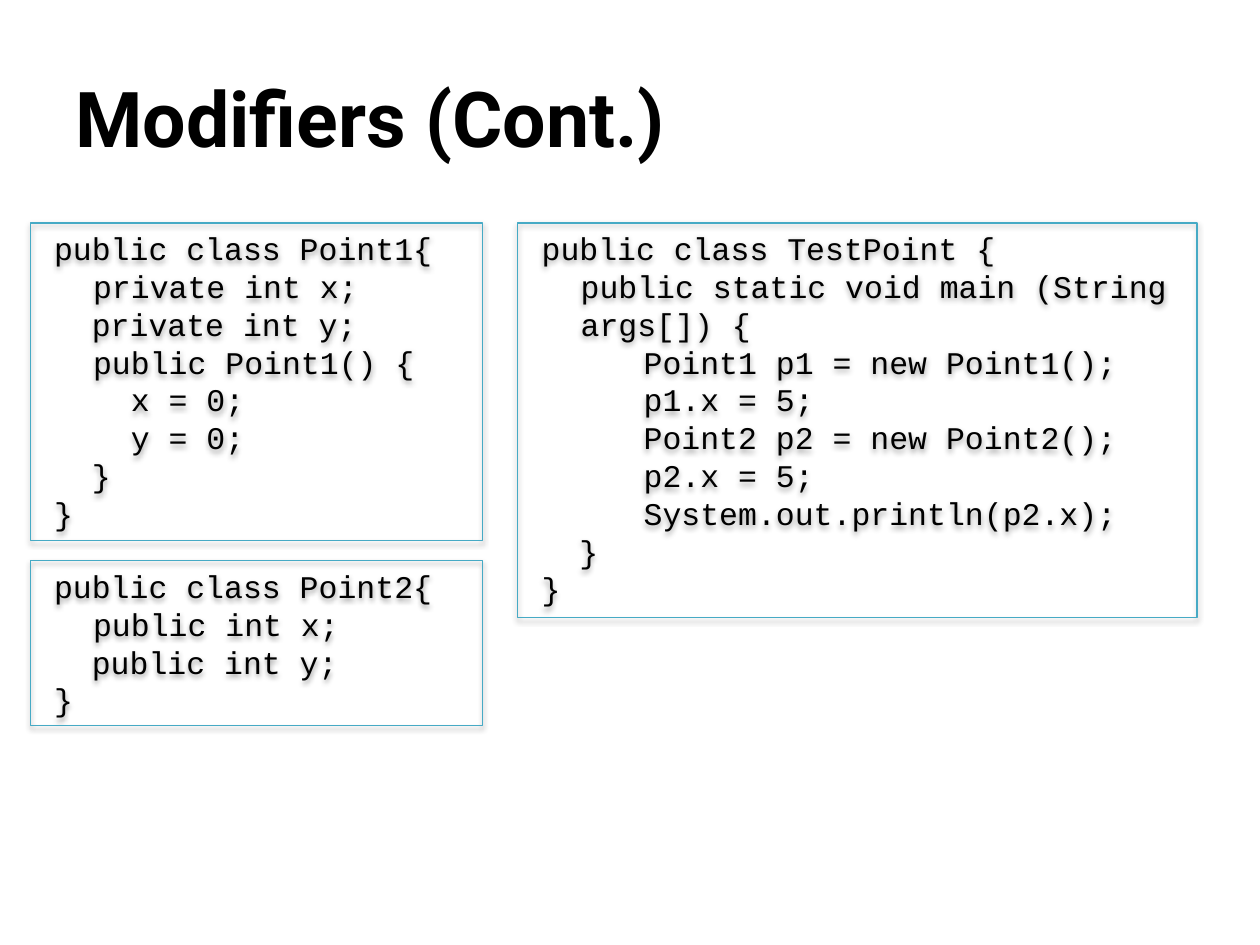
"""Build the slide on access modifiers with three boxes of Java code."""
import pptx
import pptx.dml.color
import pptx.enum.shapes
import pptx.enum.text
import pptx.oxml
import pptx.util
from pptx.util import Inches

BLACK = pptx.dml.color.RGBColor(0x00, 0x00, 0x00)
TEAL = pptx.dml.color.RGBColor(0x46, 0xAA, 0xC5)

SHADOW_XML = (
    '<a:outerShdw xmlns:a="http://schemas.openxmlformats.org/drawingml/2006/main" '
    'blurRad="40000" dist="20000" dir="5400000" rotWithShape="0">'
    '<a:srgbClr val="000000"><a:alpha val="38000"/></a:srgbClr></a:outerShdw>'
)

CODE_BOXES = [
    (0.24, 1.77, 3.59, 2.52, [
        "public class Point1{",
        "\tprivate int x;",
        "  private int y;",
        "\tpublic Point1() {",
        "\t  x = 0;",
        "\t  y = 0;",
        "  }",
        "}",
    ]),
    (0.24, 4.45, 3.59, 1.31, [
        "public class Point2{",
        "\tpublic int x;",
        "  public int y;",
        "}",
    ]),
    (4.11, 1.77, 5.39, 3.13, [
        "public class TestPoint {",
        "\tpublic static void main (String args[]) {",
        "\t\tPoint1 p1 = new Point1();",
        "\t\tp1.x = 5;",
        "\t\tPoint2 p2 = new Point2();",
        "\t\tp2.x = 5;",
        "\t\tSystem.out.println(p2.x);",
        "  }",
        "}",
    ]),
]


def add_run(paragraph, text, font_name, size, bold=False):
    run = paragraph.add_run()
    run.text = text
    run.font.name = font_name
    run.font.size = pptx.util.Pt(size)
    run.font.bold = bold
    run.font.color.rgb = BLACK


presentation = pptx.Presentation()
presentation.slide_width = Inches(10)
presentation.slide_height = Inches(7.5)
slide = presentation.slides.add_slide(presentation.slide_layouts[6])

title = slide.shapes.add_textbox(Inches(0.5), Inches(0.3), Inches(9), Inches(1.25))
title.text_frame.word_wrap = True
title.text_frame.vertical_anchor = pptx.enum.text.MSO_ANCHOR.MIDDLE
add_run(title.text_frame.paragraphs[0], "Modifiers (Cont.)", "Roboto", 44, bold=True)

for left, top, width, height, code_lines in CODE_BOXES:
    box = slide.shapes.add_shape(
        pptx.enum.shapes.MSO_SHAPE.RECTANGLE,
        Inches(left), Inches(top), Inches(width), Inches(height))
    box.fill.background()
    box.line.color.rgb = TEAL
    box.line.width = pptx.util.Pt(0.75)
    box.shadow.inherit = False
    effects = box.element.spPr.find(pptx.oxml.ns.qn("a:effectLst"))
    effects.append(pptx.oxml.parse_xml(SHADOW_XML))

    text_frame = box.text_frame
    text_frame.word_wrap = True
    text_frame.auto_size = pptx.enum.text.MSO_AUTO_SIZE.SHAPE_TO_FIT_TEXT
    text_frame.vertical_anchor = pptx.enum.text.MSO_ANCHOR.TOP
    for index, code_line in enumerate(code_lines):
        paragraph = text_frame.add_paragraph() if index else text_frame.paragraphs[0]
        paragraph.alignment = pptx.enum.text.PP_ALIGN.LEFT
        properties = paragraph._p.get_or_add_pPr()
        properties.set("marL", str(Inches(0.4)))
        properties.set("indent", str(Inches(-0.31)))
        add_run(paragraph, code_line, "Courier New", 18)

presentation.save("out.pptx")
